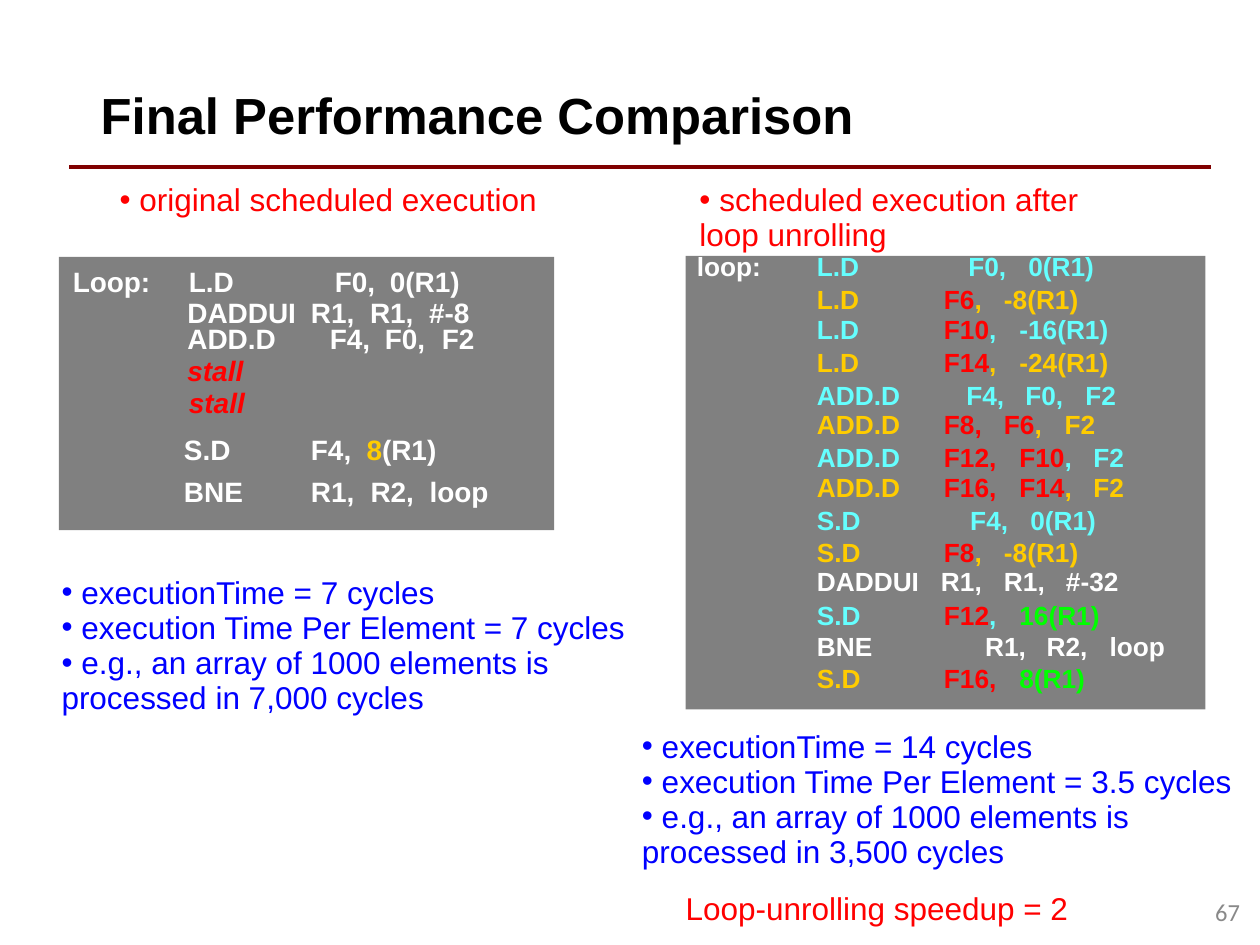
from dataclasses import dataclass

from lxml import etree
from pptx import Presentation
from pptx.dml.color import RGBColor
from pptx.enum.shapes import MSO_CONNECTOR, MSO_SHAPE
from pptx.enum.text import MSO_ANCHOR, MSO_AUTO_SIZE, PP_ALIGN
from pptx.oxml.ns import qn
from pptx.util import Cm, Pt

RECTANGLE = MSO_SHAPE.RECTANGLE
STRAIGHT = MSO_CONNECTOR.STRAIGHT
TOP, MIDDLE = MSO_ANCHOR.TOP, MSO_ANCHOR.MIDDLE
LEFT, RIGHT = PP_ALIGN.LEFT, PP_ALIGN.RIGHT
NO_AUTOFIT = MSO_AUTO_SIZE.NONE


@dataclass(frozen=True)
class Theme:
    font: str = "Arial"
    number_font: str = "Calibri"
    title_size: float = 29
    body_size: float = 18
    code_size: float = 16
    unrolled_size: float = 15
    number_size: float = 14
    black: str = "000000"
    maroon: str = "800000"
    panel: str = "808080"
    red: str = "FF0000"
    blue: str = "0000FF"
    white: str = "FFFFFF"
    gold: str = "FFCC00"
    cyan: str = "65FFFF"
    green: str = "00FF00"
    number: str = "898989"


THEME = Theme()
WHITE, RED, GOLD, CYAN, GREEN = (
    THEME.white, THEME.red, THEME.gold, THEME.cyan, THEME.green)

ORIGINAL_CODE = [
    (21.9, (2.34, 5.28, 6.39), [("Loop:\tL.D\tF0,\t0(R1)", WHITE)]),
    (18.2, (2.31, 4.8, 5.99, 7.18), [("\tDADDUI\tR1,\tR1,\t#-8", WHITE)]),
    (14.6, (2.31, 5.18, 6.29, 7.44), [("\tADD.D\tF4,\tF0,\tF2", WHITE)]),
    (18.2, (2.31,), [("\tstall", RED)]),
    (18.2, (2.34,), [("\tstall", RED)]),
]
ORIGINAL_TAIL = [
    (8.94, "S.D", (1.12,), [("F4,\t", WHITE), ("8", GOLD), ("(R1)", WHITE)]),
    (9.8, "BNE", (1.2, 2.39), [("R1,\tR2,\tloop", WHITE)]),
]
UNROLLED_WHOLE = [
    (5.28, CYAN, (3.05, 4.26), "L.D\tF0,\t0(R1)"),
    (7.87, CYAN, (3.01, 4.2, 5.41), "ADD.D\tF4,\tF0,\tF2"),
    (10.39, CYAN, (3.09, 4.3), "S.D\tF4,\t0(R1)"),
    (11.63, WHITE, (2.5, 3.77, 5.02), "DADDUI\tR1,\tR1,\t#-32"),
    (12.93, WHITE, (3.39, 4.63, 5.9), "BNE\tR1,\tR2,\tloop"),
]
UNROLLED_SPLIT = [
    (5.94, "L.D", GOLD, (1.21,), [("F6", RED), (",\t-8(R1)", GOLD)]),
    (6.55, "L.D", CYAN, (1.52,), [("F10", RED), (",\t-16(R1)", CYAN)]),
    (7.21, "L.D", GOLD, (1.52,), [("F14", RED), (",\t-24(R1)", GOLD)]),
    (8.46, "ADD.D", GOLD, (1.21, 2.43), [("F8,\tF6", RED), (",\tF2", GOLD)]),
    (9.12, "ADD.D", CYAN, (1.52, 3.01), [("F12,\tF10", RED), (",\tF2", CYAN)]),
    (9.73, "ADD.D", GOLD, (1.52, 3.01), [("F16,\tF14", RED), (",\tF2", GOLD)]),
    (11.05, "S.D", GOLD, (1.21,), [("F8", RED), (",\t-8(R1)", GOLD)]),
    (12.32, "S.D", CYAN, (1.52,), [("F12", RED), (",\t", CYAN), ("16(R1)", GREEN)]),
    (13.59, "S.D", GOLD, (1.52,), [("F16,\t", RED), ("8(R1)", GREEN)]),
]


def place(shape, left, top, width, height):
    shape.left, shape.top = Cm(left), Cm(top)
    shape.width, shape.height = Cm(width), Cm(height)


def prepare_frame(shape, anchor=TOP):
    frame = shape.text_frame
    frame.word_wrap = True
    frame.auto_size = NO_AUTOFIT
    frame.vertical_anchor = anchor
    frame.margin_left = frame.margin_right = 0
    frame.margin_top = frame.margin_bottom = 0
    return frame


def style(font, size, color, bold=False, name=THEME.font):
    font.name, font.size, font.bold = name, Pt(size), bold
    font.color.rgb = RGBColor.from_string(color)


def set_bullet(paragraph, bulleted):
    properties = paragraph._p.get_or_add_pPr()
    hang = Cm(0.4) if bulleted else 0
    properties.set("marL", str(hang))
    properties.set("indent", str(-hang))
    if bulleted:
        etree.SubElement(properties, qn("a:buFont"), typeface=THEME.font)
        etree.SubElement(properties, qn("a:buChar"), char="•")
    else:
        etree.SubElement(properties, qn("a:buNone"))


def set_tabs(paragraph, stops):
    tab_list = etree.SubElement(paragraph._p.get_or_add_pPr(), qn("a:tabLst"))
    for stop in stops:
        etree.SubElement(tab_list, qn("a:tab"), pos=str(Cm(stop)), algn="l")


def fill_title(title, text):
    place(title, 2.03, 1.5, 20, 1.65)
    frame = prepare_frame(title)
    frame.text = text
    heading = frame.paragraphs[0]
    heading.alignment = LEFT
    heading.line_spacing = Pt(40.1)
    style(heading.runs[0].font, THEME.title_size, THEME.black, bold=True)


def fill_list(body, box, items, color, continuation):
    place(body, *box)
    frame = prepare_frame(body)
    frame.text = "\n".join(items + continuation)
    for index, paragraph in enumerate(frame.paragraphs):
        set_bullet(paragraph, index < len(items))
        paragraph.alignment = LEFT
        paragraph.line_spacing = Pt(20 if index else 23.7)
        paragraph.space_before = Pt(0)
        style(paragraph.runs[0].font, THEME.body_size, color)


def add_code(slide, box, lines, size):
    frame = prepare_frame(slide.shapes.add_textbox(*map(Cm, box)))
    for index, (spacing, stops, pieces) in enumerate(lines):
        paragraph = frame.add_paragraph() if index else frame.paragraphs[0]
        set_tabs(paragraph, stops)
        paragraph.line_spacing = Pt(spacing)
        for text, color in pieces:
            run = paragraph.add_run()
            run.text = text
            style(run.font, size, color, bold=True)
            run.font.italic = text.strip() == "stall"


def add_panel(slide, *box):
    panel = slide.shapes.add_shape(RECTANGLE, *map(Cm, box))
    panel.shadow.inherit = False
    panel.fill.solid()
    panel.fill.fore_color.rgb = RGBColor.from_string(THEME.panel)
    panel.line.fill.background()


def add_rule(slide):
    rule = slide.shapes.add_connector(STRAIGHT, Cm(1.4), Cm(3.37), Cm(24.41), Cm(3.37))
    rule.line.width = Pt(2)
    rule.line.color.rgb = RGBColor.from_string(THEME.maroon)
    etree.SubElement(rule._element.spPr, qn("a:effectLst"))


def add_label(slide, box, text, size, color, name=THEME.font, align=LEFT, anchor=TOP):
    frame = prepare_frame(slide.shapes.add_textbox(*map(Cm, box)), anchor)
    frame.text = text
    frame.paragraphs[0].alignment = align
    style(frame.paragraphs[0].runs[0].font, size, color, name=name)


def add_original_listing(slide):
    add_panel(slide, 1.19, 5.18, 9.98, 5.51)
    add_code(slide, (1.47, 5.23, 9.4, 3.45), ORIGINAL_CODE, THEME.code_size)
    for top, opcode, stops, operands in ORIGINAL_TAIL:
        add_code(slide, (3.71, top, 1.3, 0.69),
                 [(12.7, (), [(opcode, WHITE)])], THEME.code_size)
        add_code(slide, (6.27, top, 3.9, 0.69),
                 [(12.7, stops, operands)], THEME.code_size)


def add_unrolled_listing(slide):
    def add_cell(left, top, width, stops, pieces):
        add_code(slide, (left, top, width, 0.64),
                 [(11.4, stops, pieces)], THEME.unrolled_size)

    add_panel(slide, 13.82, 5.16, 10.48, 9.14)
    add_cell(14.05, 5.28, 1.6, (), [("loop:", WHITE)])
    for top, color, stops, instruction in UNROLLED_WHOLE:
        add_cell(16.47, top, 7.4, stops, [(instruction, color)])
    for top, opcode, color, stops, operands in UNROLLED_SPLIT:
        add_cell(16.47, top, 1.9, (), [(opcode, color)])
        add_cell(19.03, top, 4, stops, operands)


def main():
    deck = Presentation()
    deck.slide_width, deck.slide_height = Cm(25.4), Cm(19.05)
    slide = deck.slides.add_slide(deck.slide_layouts[4])
    title, heading, results, unrolled_heading, unrolled_results = slide.placeholders

    fill_title(title, "Final Performance Comparison")
    add_rule(slide)
    fill_list(heading, (2.41, 3.56, 9.2, 1.07),
              ["original scheduled execution"], THEME.red, [])
    fill_list(unrolled_heading, (14.1, 3.56, 8.6, 1.6),
              ["scheduled execution after"], THEME.red, ["loop unrolling"])
    for body, box, cycles, per_element, total in (
        (results, (1.24, 11.48, 11.7, 3.18), "7", "7", "7,000"),
        (unrolled_results, (12.94, 14.58, 12.4, 3.18), "14", "3.5", "3,500"),
    ):
        fill_list(body, box, [
            f"executionTime = {cycles} cycles",
            f"execution Time Per Element = {per_element} cycles",
            "e.g., an array of 1000 elements is",
        ], THEME.blue, [f"processed in {total} cycles"])

    add_original_listing(slide)
    add_unrolled_listing(slide)
    add_label(slide, (13.82, 17.93, 8.4, 0.8), "Loop-unrolling speedup = 2",
              THEME.body_size, THEME.red)
    add_label(slide, (22.5, 17.73, 2.5, 1.3), "67", THEME.number_size,
              THEME.number, THEME.number_font, RIGHT, MIDDLE)
    deck.save("out.pptx")


if __name__ == "__main__":
    main()
